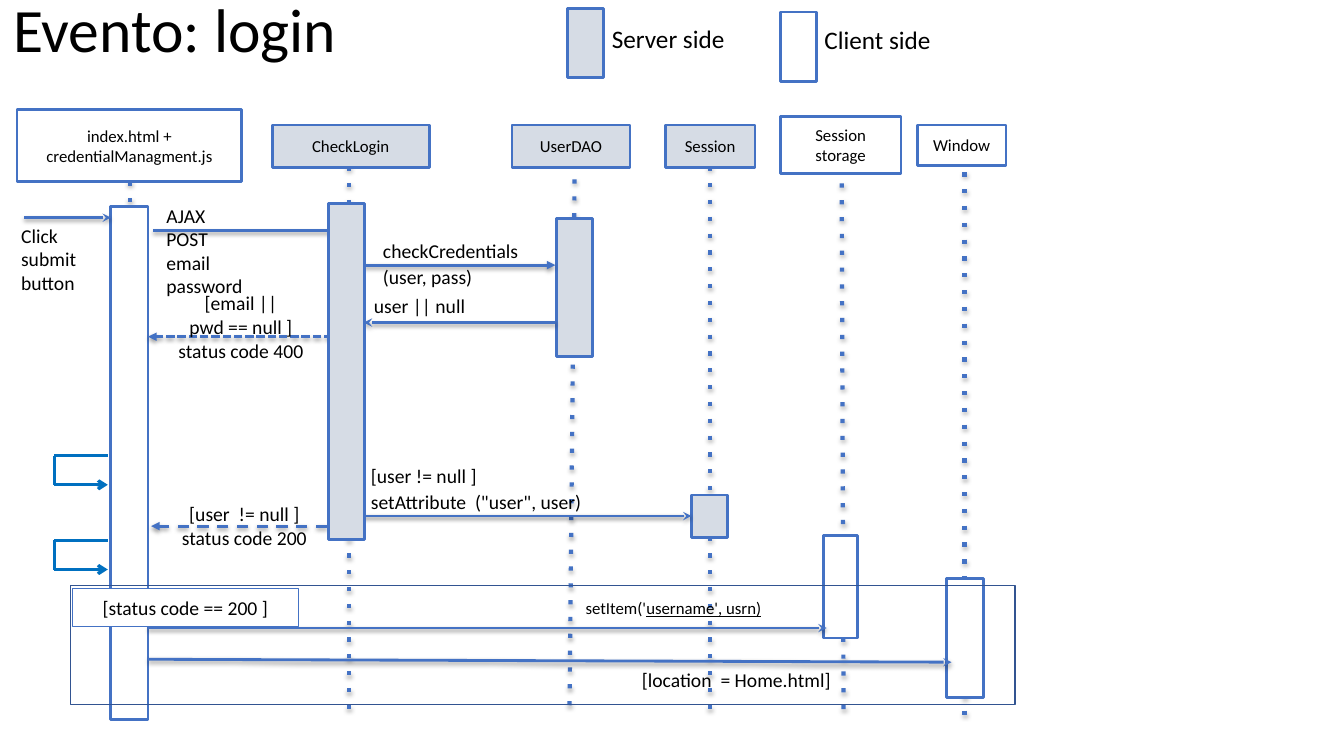
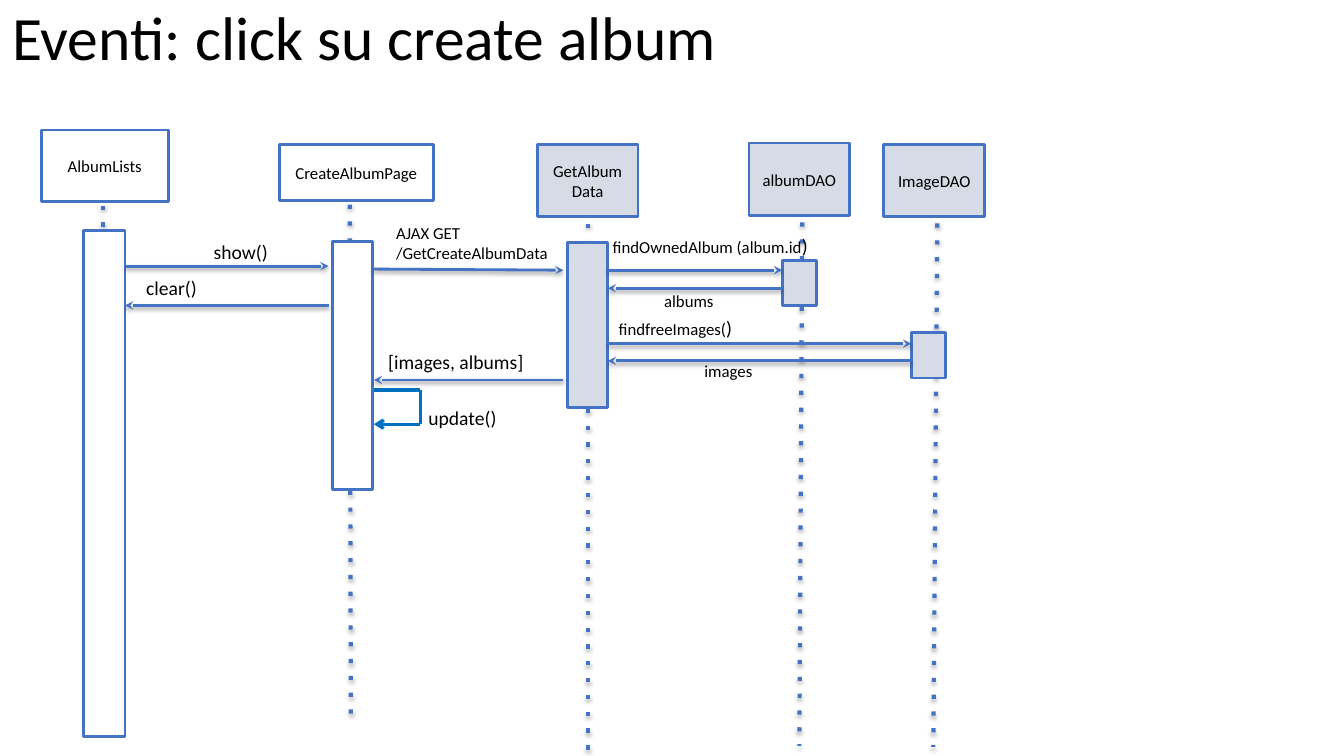
from lxml import etree
from pptx import Presentation
from pptx.dml.color import RGBColor
from pptx.enum.shapes import MSO_CONNECTOR, MSO_SHAPE
from pptx.enum.text import MSO_ANCHOR, MSO_AUTO_SIZE, PP_ALIGN
from pptx.oxml.ns import qn
from pptx.util import Pt

STRAIGHT = MSO_CONNECTOR.STRAIGHT
RECTANGLE = MSO_SHAPE.RECTANGLE
LEFT, CENTER = PP_ALIGN.LEFT, PP_ALIGN.CENTER
TOP, MIDDLE = MSO_ANCHOR.TOP, MSO_ANCHOR.MIDDLE
NO_AUTOFIT = MSO_AUTO_SIZE.NONE

FONT = "Calibri"
BLACK, WHITE, GREY = "000000", "FFFFFF", "D6DCE5"
BLUE, BRIGHT_BLUE, DARK_BLUE = "4472C4", "0070C0", "325491"

BOX_STYLES = {
    "server": dict(fill=GREY, line=BLUE, weight=2, size=12),
    "client": dict(fill=WHITE, line=BLUE, weight=2, size=12),
    "note": dict(fill=WHITE, line=BLUE, weight=0.25, size=14),
    "frame": dict(fill=None, line=DARK_BLUE, weight=1, size=14),
}
LINE_STYLES = {
    "lifeline": dict(color=BLUE, weight=3, dash="dot", arrow=None, shadow=35),
    "message": dict(color=BLUE, weight=2, dash="solid", arrow="stealth", shadow=38),
    "call": dict(color=BLUE, weight=2, dash="solid", arrow="triangle", shadow=38),
    "error": dict(color=BLUE, weight=2, dash="sysDash", arrow="triangle", shadow=38),
    "reply": dict(color=BLUE, weight=2, dash="dash", arrow="triangle", shadow=38),
    "loop": dict(color=BRIGHT_BLUE, weight=2.25, dash="solid", arrow="arrow", shadow=None),
}

login = dict(
    title="Evento: login",
    title_area=(0.7, -0.7, 251.3, 48.2),
    lifelines=[
        ("lifeline", [(92.9, 129.6), (92.9, 478)]),
        ("lifeline", [(249.1, 118.8), (249.1, 506.2)]),
        ("lifeline", [(410.4, 128.2), (406.8, 506.2)]),
        ("lifeline", [(506.9, 118.8), (506.9, 513.4)]),
        ("lifeline", [(601.2, 131), (602.6, 513.4)]),
        ("lifeline", [(689, 123.1), (689, 513.4)]),
    ],
    boxes=[
        ("client", "index.html + credentialManagment.js", 12.2, 78.5, 160.6, 51.1),
        ("server", "CheckLogin", 194.4, 89.3, 112.3, 30.2),
        ("server", "UserDAO", 365.8, 89.3, 84.2, 30.2),
        ("server", "Session", 475.2, 89.3, 64.1, 30.2),
        ("client", "Session storage", 557.3, 83.5, 86.4, 40.3),
        ("client", "Window", 655.2, 89.3, 63.4, 28.8),
        ("client", "", 79.2, 147.6, 26.6, 366.5),
        ("server", "", 397.4, 156.2, 25.9, 98.6),
        ("server", "", 493.9, 353.5, 25.9, 30.2),
        ("client", "", 588.2, 382.3, 24.5, 73.4),
        ("client", "", 676.1, 413.3, 26.6, 85),
        ("server", "", 405.4, 5.8, 25.9, 49.7),
        ("client", "", 557.3, 8.6, 25.9, 49.7),
    ],
    messages=[
        ("message", [(17.3, 155.5), (79.2, 155.5)]),
        ("message", [(109.4, 164.9), (247.7, 164.9)]),
        ("call", [(259.9, 189.4), (396.7, 189.4)]),
        ("message", [(396.7, 230.4), (259.9, 230.4)]),
        ("error", [(245.5, 240.5), (105.8, 240.5)]),
        ("message", [(252, 368.6), (493.9, 368.6)]),
        ("reply", [(247.7, 375.8), (108, 375.8)]),
        ("message", [(105.8, 448.6), (590.4, 448.6)]),
        ("message", [(105.8, 470.9), (679.7, 473)]),
        ("loop", [(77, 325.4), (38.9, 325.4), (38.9, 346.3), (77, 346.3)]),
        ("loop", [(77, 385.9), (38.9, 385.9), (38.9, 406.8), (77, 406.8)]),
    ],
    front_boxes=[
        ("server", "", 234.7, 145.4, 25.9, 239.8),
        ("note", "[status code == 200 ]", 51.8, 420.5, 161.3, 26.6),
        ("frame", "", 50.4, 418.3, 674.6, 85),
    ],
    labels=[
        ("Server side", 428.4, 12.4, 110, 27, dict(size=18)),
        ("Client side", 580.3, 13, 110, 27, dict(size=18)),
        ("Click\nsubmit\nbutton", 6.5, 155.5, 61.9, 77.8, {}),
        ("AJAX POST email password", 110.2, 141.1, 77.8, 49, {}),
        ("checkCredentials\n(user, pass)", 265, 166.3, 136.8, 38.2, dict(space_after=2)),
        ("user || null", 258.5, 205.9, 97.2, 28.8, {}),
        ("[email ||\npwd == null ]\nstatus code 400", 113.8, 203.8, 116.6, 36.7,
         dict(align=CENTER)),
        ('[user != null ]\nsetAttribute  ("user", user)', 256.3, 326.9, 265.7, 45.4,
         dict(space_after=2)),
        ("[user  != null ]\nstatus code 200", 114.5, 354.2, 120.2, 51.1, dict(align=CENTER)),
        ("setItem('", 409.7, 422.7, 160, 21.6,
         dict(size=12, ending="username', usrn)", ending_underline=True)),
        ("[location  = Home.html]", 432, 473, 187.9, 23.8, dict(align=CENTER)),
    ],
)

create_album = dict(
    title="Eventi: click su create album",
    title_area=(0, 0, 573.1, 57.6),
    lifelines=[
        ("lifeline", [(73.4, 146.9), (73.4, 495.4)]),
        ("lifeline", [(249.8, 146.2), (250.6, 512.6)]),
        ("lifeline", [(419.8, 159.8), (419.8, 540)]),
        ("lifeline", [(573.1, 146.9), (571, 532.8)]),
        ("lifeline", [(669.6, 147.6), (666.7, 533.5)]),
    ],
    boxes=[
        ("client", "AlbumLists", 29.5, 92.9, 90.7, 51.1),
        ("client", "CreateAlbumPage", 199.4, 103, 110.2, 40.3),
        ("server", "GetAlbumData", 383.8, 103, 72, 51.8),
        ("server", "albumDAO", 535, 102.2, 72, 51.8),
        ("server", "ImageDAO", 631.4, 103, 72, 51.8),
        ("client", "", 59.8, 164.9, 29.5, 361.4),
        ("client", "", 237.6, 172.8, 28.8, 177.1),
        ("server", "", 405.4, 173.5, 28.8, 117.4),
        ("server", "", 558.7, 185.8, 24.5, 32.4),
        ("server", "", 650.9, 237.6, 24.5, 32.4),
    ],
    messages=[
        ("message", [(89.3, 190.1), (234.7, 190.1)]),
        ("message", [(234.7, 218.2), (89.3, 218.2)]),
        ("message", [(266.4, 192.2), (402.5, 193)]),
        ("message", [(434.2, 193), (558.7, 193)]),
        ("message", [(558.7, 205.9), (434.2, 205.9)]),
        ("message", [(434.2, 245.5), (650.9, 245.5)]),
        ("message", [(650.9, 257.8), (434.2, 257.8)]),
        ("message", [(402.5, 271.4), (267.1, 271.4)]),
        ("loop", [(267.1, 278.6), (300.2, 278.6), (300.2, 303), (267.1, 303)]),
    ],
    front_boxes=[],
    labels=[
        ("show()", 144, 167, 63.4, 25.9, {}),
        ("clear()", 95.8, 193, 72, 35.3, {}),
        ("AJAX GET\n/GetCreateAlbumData", 274.3, 154.8, 144.7, 34.6, dict(size=12)),
        ("findOwnedAlbum (album.id", 429.1, 162.7, 194.4, 18,
         dict(size=12, ending=")", ending_size=14)),
        ("albums", 465.8, 203, 58.3, 18, dict(size=12)),
        ("findfreeImages(", 433.4, 221, 194.4, 18,
         dict(size=12, ending=")", ending_size=14)),
        ("images", 494.6, 253.4, 194.4, 18, dict(size=12)),
        ("[images, albums]", 268.6, 245.5, 127.4, 24.5, {}),
        ("update()", 297.4, 285.8, 72, 35.3, {}),
    ],
)


def paint(color_format, color):
    color_format.rgb = RGBColor.from_string(color)


def write_text(frame, text, size=14, align=LEFT, anchor=TOP, line_spacing=1.0, space_after=0,
               ending="", ending_size=None, ending_underline=None):
    frame.word_wrap = True
    frame.auto_size = NO_AUTOFIT
    frame.vertical_anchor = anchor
    frame.margin_left = frame.margin_right = Pt(8.6)
    frame.margin_top = frame.margin_bottom = Pt(4.3)
    for index, line in enumerate(text.split("\n")):
        paragraph = frame.add_paragraph() if index else frame.paragraphs[0]
        paragraph.alignment = align
        paragraph.line_spacing = line_spacing
        paragraph.space_after = Pt(space_after)
        pieces = [(line, size, None)]
        if ending:
            pieces.append((ending, ending_size or size, ending_underline))
        for piece, piece_size, underline in pieces:
            run = paragraph.add_run()
            run.text = piece
            run.font.name = FONT
            run.font.size = Pt(piece_size)
            run.font.underline = underline
            paint(run.font.color, BLACK)


presentation = Presentation()
presentation.slide_width = Pt(960)
presentation.slide_height = Pt(540)
title_only = presentation.slide_layouts[5]

for diagram in (login, create_album):
    slide = presentation.slides.add_slide(title_only)
    title = slide.shapes.title
    title.left, title.top, title.width, title.height = map(Pt, diagram["title_area"])
    write_text(title.text_frame, diagram["title"], size=44, anchor=MIDDLE, line_spacing=0.9)

    for layer in ("lifelines", "boxes", "messages", "front_boxes"):
        for style_name, *details in diagram[layer]:
            if style_name in BOX_STYLES:
                style = BOX_STYLES[style_name]
                text, *area = details
                shape = slide.shapes.add_shape(RECTANGLE, *map(Pt, area))
                shape.shadow.inherit = False
                if style["fill"]:
                    shape.fill.solid()
                    paint(shape.fill.fore_color, style["fill"])
                else:
                    shape.fill.background()
                paint(shape.line.color, style["line"])
                shape.line.width = Pt(style["weight"])
                if text:
                    write_text(shape.text_frame, text, size=style["size"],
                               align=CENTER, anchor=MIDDLE)
                continue

            style = LINE_STYLES[style_name]
            points = details[0]
            for start, end in zip(points, points[1:]):
                connector = slide.shapes.add_connector(STRAIGHT, *map(Pt, start + end))
                paint(connector.line.color, style["color"])
                connector.line.width = Pt(style["weight"])
                properties = connector._element.spPr
                outline = properties.find(qn("a:ln"))
                etree.SubElement(outline, qn("a:prstDash"), val=style["dash"])
                if style["arrow"] and end == points[-1]:
                    etree.SubElement(outline, qn("a:tailEnd"), type=style["arrow"])
                effects = etree.SubElement(properties, qn("a:effectLst"))
                if style["shadow"]:
                    shadow = etree.SubElement(
                        effects, qn("a:outerShdw"), blurRad=str(Pt(3.1)), dist=str(Pt(1.7)),
                        dir="5400000", rotWithShape="0")
                    shadow_color = etree.SubElement(shadow, qn("a:srgbClr"), val=BLACK)
                    etree.SubElement(shadow_color, qn("a:alpha"), val=str(style["shadow"] * 1000))

    for text, left, top, width, height, text_format in diagram["labels"]:
        label = slide.shapes.add_textbox(Pt(left), Pt(top), Pt(width), Pt(height))
        write_text(label.text_frame, text, **text_format)

presentation.save("out.pptx")
